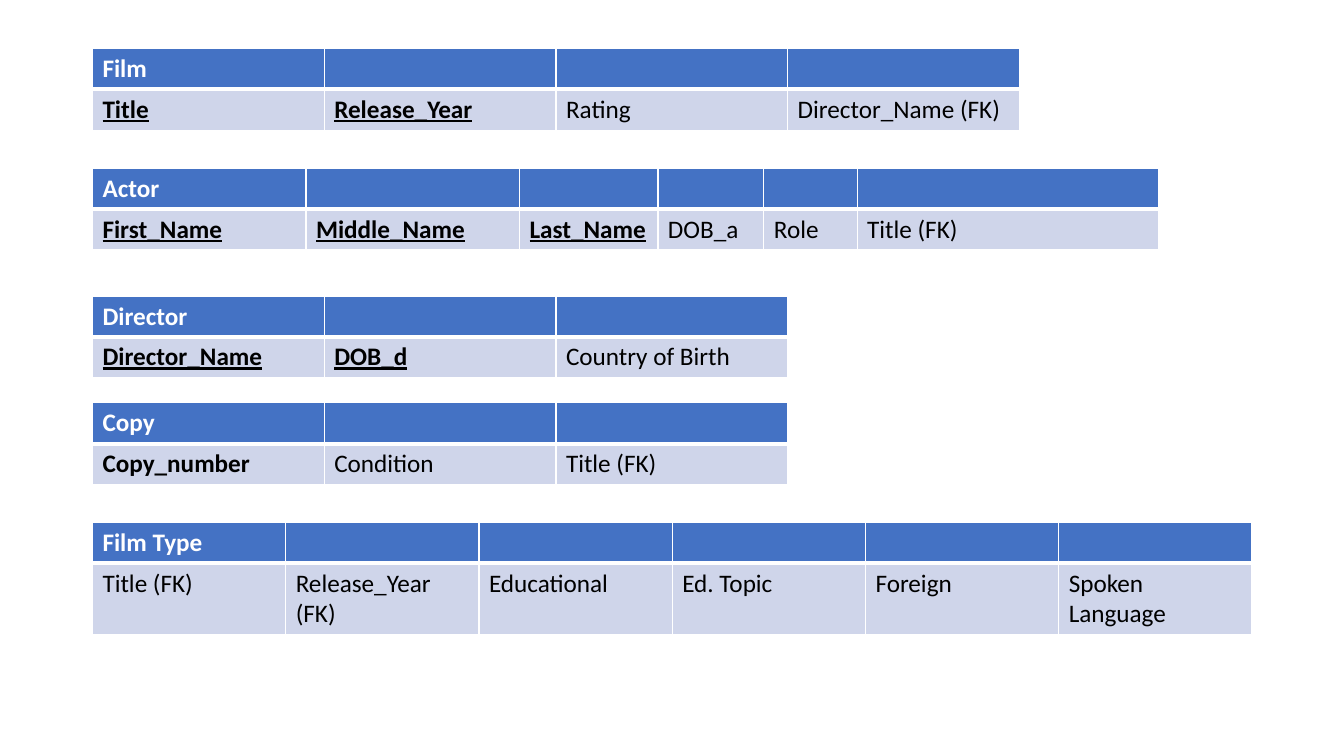
import pptx
import pptx.dml.color
import pptx.oxml
import pptx.oxml.ns
import pptx.util

Cm = pptx.util.Cm
Pt = pptx.util.Pt

COLOURS = {"header": "4472C4", "body": "CFD5EA", "border": "FFFFFF",
           "header_text": "FFFFFF", "body_text": "000000"}
LEFT = 2.33
ROW_HEIGHT = 1.03
THIN, THICK = 1, 3

# name, top, column widths, fields, number of key fields, keys underlined
RELATIONS = [
    ("Film", 1.22, [5.84] * 4,
     ["Title", "Release_Year", "Rating", "Director_Name (FK)"], 2, True),
    ("Actor", 4.24, [5.38, 5.38, 3.49, 2.67, 2.35, 7.61],
     ["First_Name", "Middle_Name", "Last_Name", "DOB_a", "Role", "Title (FK)"], 3, True),
    ("Director", 7.46, [5.84] * 3,
     ["Director_Name", "DOB_d", "Country of Birth"], 2, True),
    ("Copy", 10.15, [5.84] * 3,
     ["Copy_number", "Condition", "Title (FK)"], 1, False),
    ("Film Type", 13.16, [4.87] * 6,
     ["Title (FK)", "Release_Year (FK)", "Educational", "Ed. Topic", "Foreign",
      "Spoken Language"], 0, False),
]


def style_cell(cell, fill, top, bottom):
    """Give the cell white borders, with top and bottom widths in points, and a fill."""
    properties = cell._tc.get_or_add_tcPr()
    for side, width in (("L", THIN), ("R", THIN), ("T", top), ("B", bottom)):
        properties.append(pptx.oxml.parse_xml(
            f'<a:ln{side} {pptx.oxml.ns.nsdecls("a")} w="{Pt(width)}"><a:solidFill>'
            f'<a:srgbClr val="{COLOURS["border"]}"/></a:solidFill></a:ln{side}>'))
    cell.fill.solid()
    cell.fill.fore_color.rgb = pptx.dml.color.RGBColor.from_string(COLOURS[fill])


def write_cell(cell, text, colour, bold, underline):
    run = cell.text_frame.paragraphs[0].add_run()
    run.text = text
    run.font.name = "Calibri"
    run.font.size = Pt(18)
    run.font.bold = bold
    run.font.underline = underline
    run.font.color.rgb = pptx.dml.color.RGBColor.from_string(COLOURS[colour])


presentation = pptx.Presentation()
presentation.slide_width = Cm(33.87)
presentation.slide_height = Cm(19.05)
slide = presentation.slides.add_slide(presentation.slide_layouts[6])

for name, top, widths, fields, key_count, underlined in RELATIONS:
    table = slide.shapes.add_table(2, len(fields), Cm(LEFT), Cm(top),
                                   Cm(sum(widths)), Cm(2 * ROW_HEIGHT)).table
    write_cell(table.cell(0, 0), name, "header_text", True, False)
    for index, (width, field) in enumerate(zip(widths, fields)):
        table.columns[index].width = Cm(width)
        is_key = index < key_count
        write_cell(table.cell(1, index), field, "body_text", is_key, is_key and underlined)
        style_cell(table.cell(0, index), "header", THIN, THICK)
        style_cell(table.cell(1, index), "body", THICK, THIN)

presentation.save("out.pptx")
